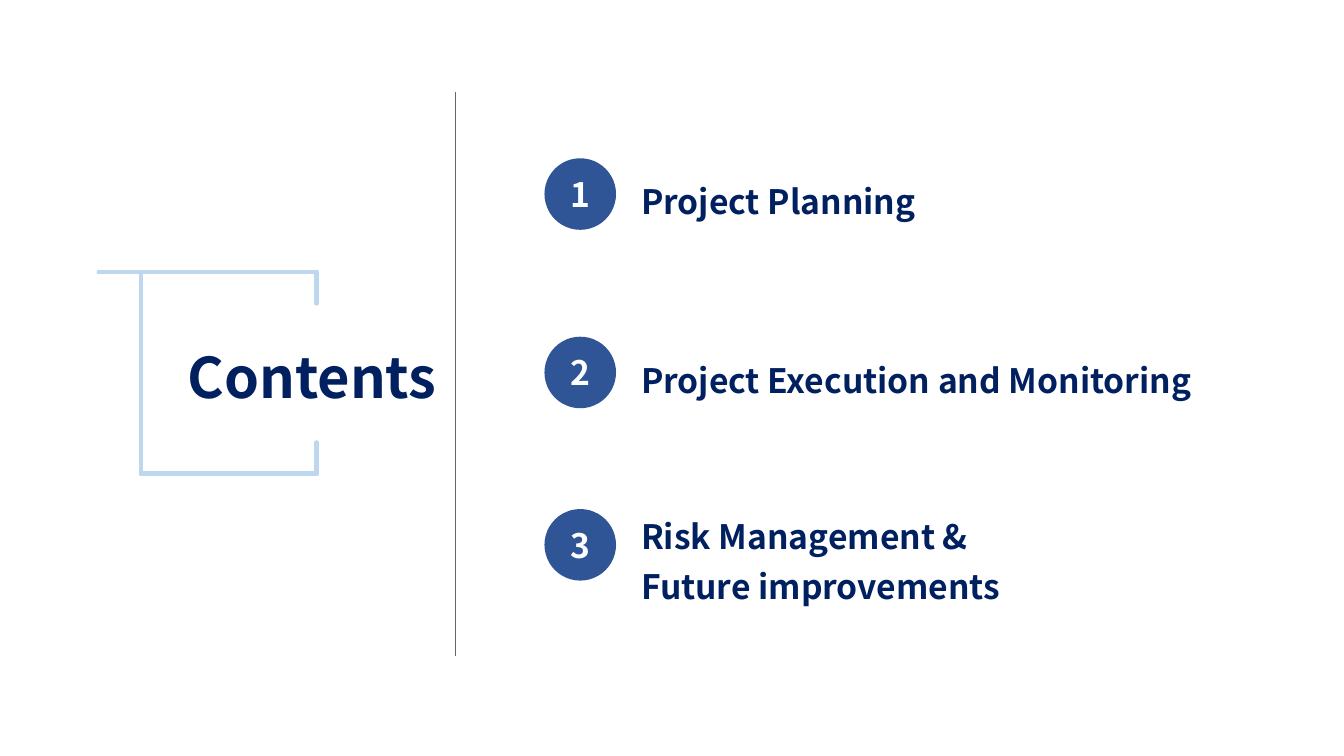
import pptx
import pptx.dml.color
import pptx.enum.shapes
import pptx.enum.text
import pptx.oxml.ns
import pptx.util
import lxml.etree
from pptx.util import Inches

HEADING = "Contents"
SECTIONS = [
    {"lines": ["Project Planning"], "badge_top": 1.57, "text_top": 1.65, "width": 5.68},
    {"lines": ["Project Execution and Monitoring"], "badge_top": 3.34, "text_top": 3.42, "width": 6.09},
    {"lines": ["Risk Management &", "Future improvements"], "badge_top": 5.05, "text_top": 4.97, "width": 5.68},
]
COLORS = {"navy": "002060", "badge": "2F5597", "frame": "BDD7EE", "divider": "666666", "white": "FFFFFF"}
FONT = "Noto Sans CJK SC"
BADGE_LEFT, BADGE_SIZE, TEXT_LEFT = 5.4, 0.71, 6.26
LINE_HEIGHT, TEXT_PADDING = 0.5, 0.06
FRAME_START, FRAME_LEFT, FRAME_RIGHT = 0.98, 1.4, 3.14
FRAME_TOP, FRAME_BOTTOM, FRAME_STUB = 2.7, 4.7, 0.31
FRAME_LINES = [
    (FRAME_START, FRAME_TOP, FRAME_RIGHT, FRAME_TOP),
    (FRAME_LEFT, FRAME_BOTTOM, FRAME_RIGHT, FRAME_BOTTOM),
    (FRAME_LEFT, FRAME_TOP, FRAME_LEFT, FRAME_BOTTOM),
    (FRAME_RIGHT, FRAME_TOP, FRAME_RIGHT, FRAME_TOP + FRAME_STUB),
    (FRAME_RIGHT, FRAME_BOTTOM - FRAME_STUB, FRAME_RIGHT, FRAME_BOTTOM),
]
DIVIDER = (4.52, 0.91, 4.52, 6.51)


def color(name):
    return pptx.dml.color.RGBColor.from_string(COLORS[name])


def write(frame, lines, size, color_name, align, spacing=None):
    frame.word_wrap = True
    for index, line in enumerate(lines):
        para = frame.paragraphs[0] if index == 0 else frame.add_paragraph()
        para.text = line
        para.alignment = align
        para.line_spacing = spacing
        para.font.name = FONT
        para.font.size = pptx.util.Pt(size)
        para.font.bold = True
        para.font.color.rgb = color(color_name)


def draw_line(page, ends, color_name, width, cap="flat"):
    line = page.shapes.add_connector(
        pptx.enum.shapes.MSO_CONNECTOR.STRAIGHT, *[Inches(value) for value in ends])
    line.line.color.rgb = color(color_name)
    line.line.width = pptx.util.Pt(width)
    properties = line._element.spPr
    properties.find(pptx.oxml.ns.qn("a:ln")).set("cap", cap)
    lxml.etree.SubElement(properties, pptx.oxml.ns.qn("a:effectLst"))


def add_section(page, number, section):
    badge = page.shapes.add_shape(
        pptx.enum.shapes.MSO_SHAPE.OVAL, Inches(BADGE_LEFT), Inches(section["badge_top"]),
        Inches(BADGE_SIZE), Inches(BADGE_SIZE))
    badge.shadow.inherit = False
    badge.fill.solid()
    badge.fill.fore_color.rgb = color("badge")
    badge.line.fill.background()
    badge.text_frame.vertical_anchor = pptx.enum.text.MSO_ANCHOR.MIDDLE
    write(badge.text_frame, [str(number)], 24, "white", pptx.enum.text.PP_ALIGN.CENTER)

    height = LINE_HEIGHT * len(section["lines"]) + TEXT_PADDING
    box = page.shapes.add_textbox(
        Inches(TEXT_LEFT), Inches(section["text_top"]), Inches(section["width"]), Inches(height))
    box.text_frame.auto_size = pptx.enum.text.MSO_AUTO_SIZE.SHAPE_TO_FIT_TEXT
    write(box.text_frame, section["lines"], 24, "navy", pptx.enum.text.PP_ALIGN.LEFT, 1.25)


def main():
    deck = pptx.Presentation()
    deck.slide_width, deck.slide_height = Inches(13.33), Inches(7.5)
    page = deck.slides.add_slide(deck.slide_layouts.get_by_name("Title Only"))

    title = page.shapes.title
    title.left, title.top = Inches(1.61), Inches(3.18)
    title.width, title.height = Inches(2.97), Inches(1.28)
    title.text_frame.auto_size = pptx.enum.text.MSO_AUTO_SIZE.NONE
    title.text_frame.vertical_anchor = pptx.enum.text.MSO_ANCHOR.TOP
    write(title.text_frame, [HEADING], 40, "navy", pptx.enum.text.PP_ALIGN.CENTER, 1.25)

    draw_line(page, DIVIDER, "divider", 0.5)
    for ends in FRAME_LINES:
        draw_line(page, ends, "frame", 3.25, "rnd")
    for number, section in enumerate(SECTIONS, 1):
        add_section(page, number, section)

    deck.save("out.pptx")


if __name__ == "__main__":
    main()
